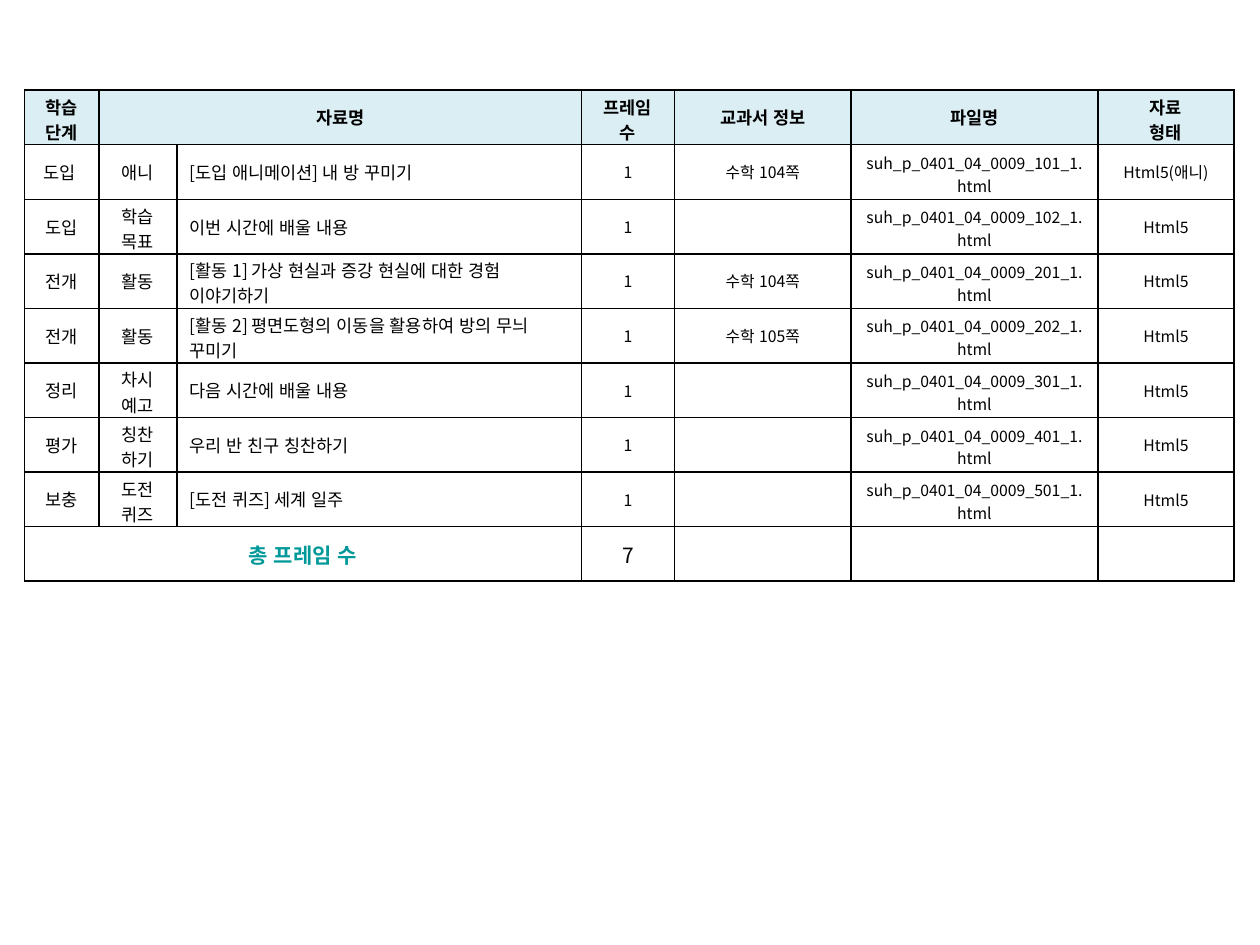
from pptx import Presentation
from pptx.dml.color import RGBColor as RGB
from pptx.enum.text import MSO_ANCHOR as Anchor, PP_ALIGN as Align
from pptx.oxml.ns import qn
from pptx.util import Pt
from lxml.etree import SubElement

COLORS = {"ink": "000000", "header": "DBEEF4", "total": "009999"}
FONT = "Noto Sans CJK KR"

COL_WIDTHS = [42.5, 44.6, 231.1, 53.3, 100.8, 141.1, 77.8]
ROW_HEIGHT = 31.2
BODY_SIZES = [10, 10, 10, 9, 9, 9, 9]
LINE_CHARS = [4, 4, 25, 4, 9, 20, 9]  # longest text that stays on one line
TITLE_COL = 2

HEADER = ["학습 단계", "자료명", "", "프레임 수", "교과서 정보", "파일명", "자료\n형태"]
# Stage, kind, title, textbook page, file number, format
LESSONS = [
    ("도입 ", "애니", "[도입 애니메이션] 내 방 꾸미기", "수학 104쪽", 101, "Html5(애니)"),
    ("도입", "학습 목표", "이번 시간에 배울 내용", "", 102, "Html5"),
    ("전개", "활동", "[활동 1] 가상 현실과 증강 현실에 대한 경험 이야기하기", "수학 104쪽", 201, "Html5"),
    ("전개", "활동", "[활동 2] 평면도형의 이동을 활용하여 방의 무늬 꾸미기", "수학 105쪽", 202, "Html5"),
    ("정리", "차시 예고", "다음 시간에 배울 내용", "", 301, "Html5"),
    ("평가", "칭찬\n하기", "우리 반 친구 칭찬하기", "", 401, "Html5"),
    ("보충", "도전 퀴즈", "[도전 퀴즈] 세계 일주", "", 501, "Html5"),
]


class Deck:
    def __init__(self, prs):
        self.slide = prs.slides.add_slide(prs.slide_layouts[6])

    def table(self, left, top, widths, row_height, rows):
        frame = self.slide.shapes.add_table(
            rows, len(widths), Pt(left), Pt(top), Pt(sum(widths)), Pt(row_height * rows))
        table = frame.table
        for column, width in zip(table.columns, widths):
            column.width = Pt(width)
        for row in table.rows:
            row.height = Pt(row_height)
        return table

    def cell(self, cell, text, size, color="ink", bold=False, align=Align.CENTER,
             fill=None, two_lines=False, side=7.2):
        self.borders(cell)
        if fill:
            cell.fill.solid()
            cell.fill.fore_color.rgb = RGB.from_string(COLORS[fill])
        else:
            cell.fill.background()
        cell.margin_left = cell.margin_right = Pt(side)
        cell.vertical_anchor = Anchor.MIDDLE
        if two_lines:  # trimmed insets keep the row height
            cell.vertical_anchor = Anchor.TOP
            cell.margin_top = Pt(2.2 if size == 10 else 3.6)
            cell.margin_bottom = Pt(0)
        cell.text = text
        for p in cell.text_frame.paragraphs:
            p.alignment = align
            font = p.font
            font.size, font.bold, font.name = Pt(size), bold, FONT
            font.color.rgb = RGB.from_string(COLORS[color])
            style = p._p.pPr.find(qn("a:defRPr"))
            style.set("lang", "ko-KR")
            style.set("kern", "0")
            SubElement(style, qn("a:ea"), typeface=FONT)

    def borders(self, cell):
        props = cell._tc.get_or_add_tcPr()
        for side in ("lnL", "lnR", "lnT", "lnB"):
            line = SubElement(props, qn(f"a:{side}"), w=str(Pt(1)))
            solid = SubElement(line, qn("a:solidFill"))
            SubElement(solid, qn("a:srgbClr"), val=COLORS["ink"])


def needs_two_lines(text, col):
    return "\n" in text or len(text) > LINE_CHARS[col]


def main():
    prs = Presentation()
    prs.slide_width, prs.slide_height = Pt(720), Pt(540)
    deck = Deck(prs)
    last = len(LESSONS) + 1
    table = deck.table(14, 51.5, COL_WIDTHS, ROW_HEIGHT, last + 1)

    # Header row
    for col, text in enumerate(HEADER):
        deck.cell(table.cell(0, col), text, 10, bold=True, fill="header",
                  two_lines=needs_two_lines(text, col), side=8)
    table.cell(0, 1).merge(table.cell(0, 2))

    # Lesson rows
    for row, (stage, kind, title, page, number, form) in enumerate(LESSONS, 1):
        file_name = f"suh_p_0401_04_0009_{number}_1.html"
        values = [stage, kind, title, "1", page, file_name, form]
        for col, (text, size) in enumerate(zip(values, BODY_SIZES)):
            align = Align.LEFT if col == TITLE_COL else Align.CENTER
            deck.cell(table.cell(row, col), text, size, align=align,
                      two_lines=needs_two_lines(text, col))

    # Total row
    deck.cell(table.cell(last, 0), "총 프레임 수", 12, color="total", bold=True)
    deck.cell(table.cell(last, 3), str(len(LESSONS)), 12)
    for col in (1, 2, 4, 5, 6):
        deck.cell(table.cell(last, col), "", 9)
    table.cell(last, 0).merge(table.cell(last, 2))

    prs.save("out.pptx")


if __name__ == "__main__":
    main()
